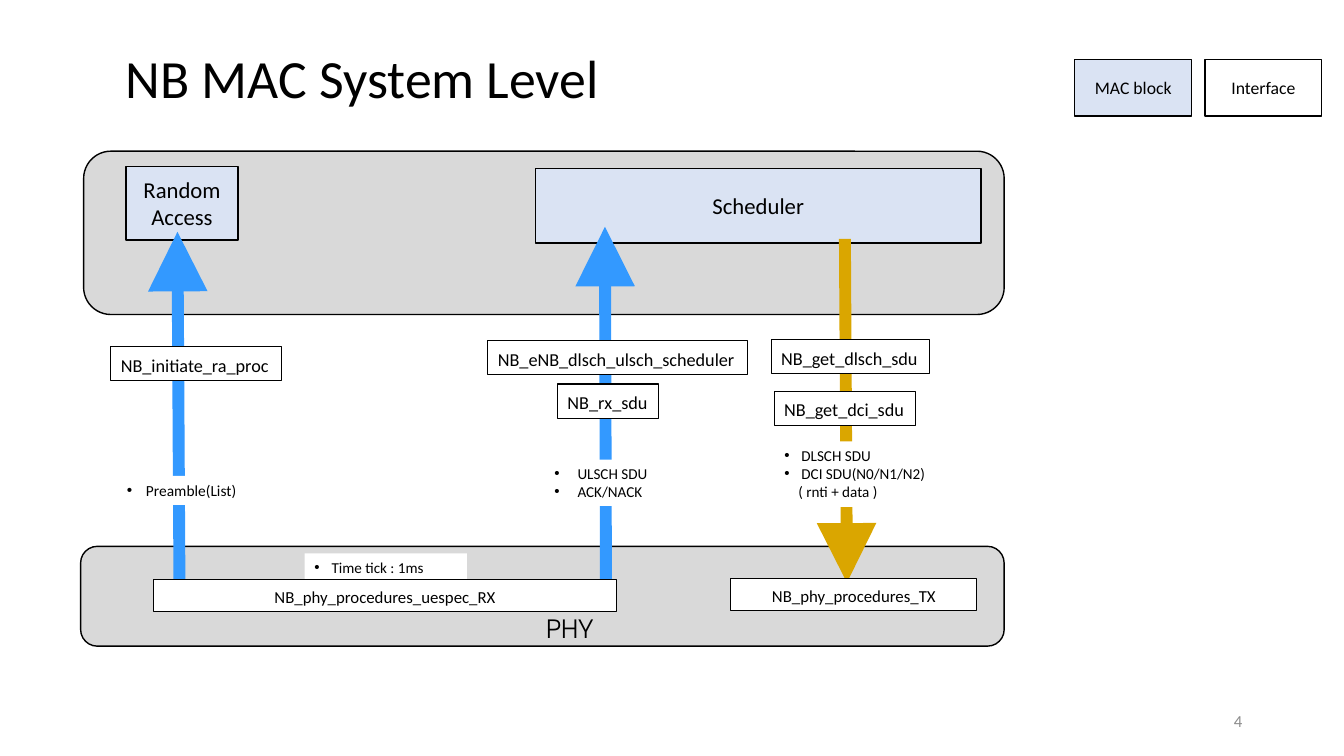
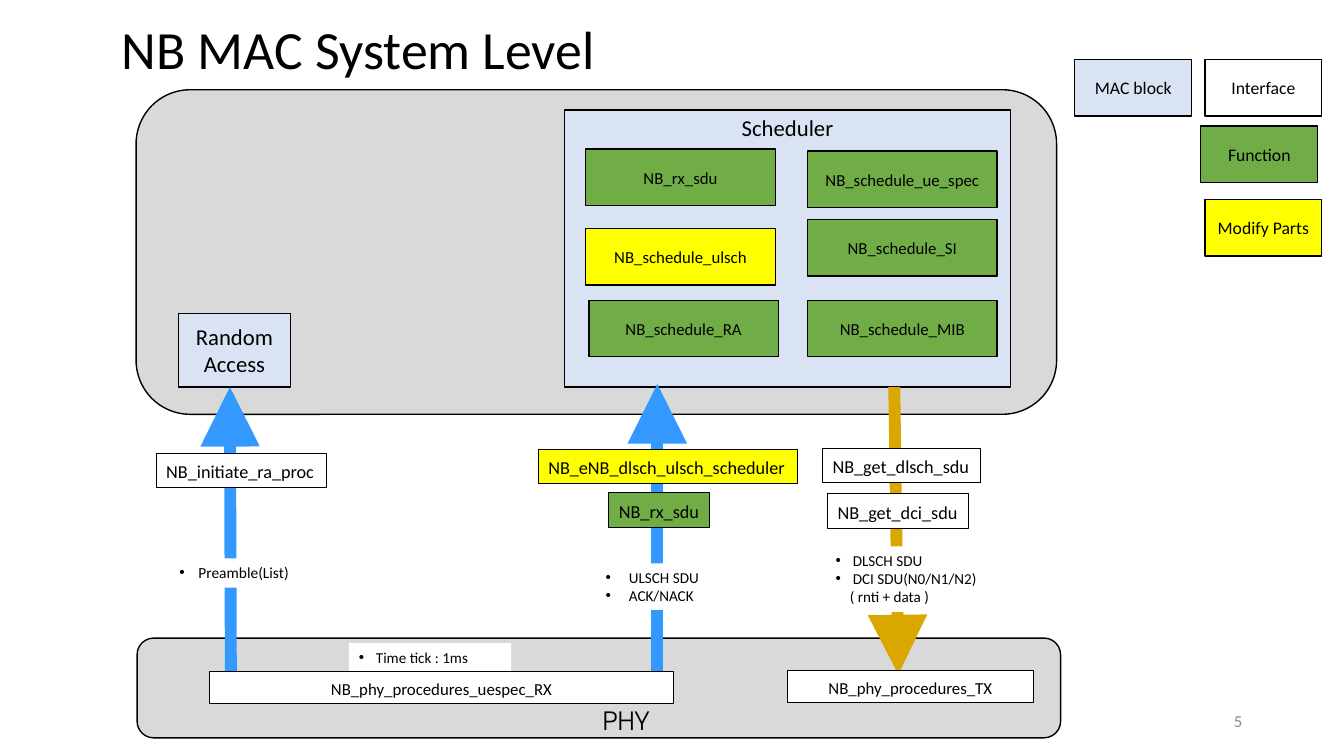
from lxml import etree
from pptx import Presentation
from pptx.dml.color import RGBColor
from pptx.enum import shapes, text as t
from pptx.oxml import ns
from pptx.util import Inches, Pt

BLACK = RGBColor(0x00, 0x00, 0x00)
WHITE = RGBColor(0xFF, 0xFF, 0xFF)
PANEL = RGBColor(0xD9, 0xD9, 0xD9)
BLOCK = RGBColor(0xDA, 0xE3, 0xF3)
GREEN = RGBColor(0x70, 0xAD, 0x47)
YELLOW = RGBColor(0xFF, 0xFF, 0x00)
UPLINK = RGBColor(0x33, 0x99, 0xFF)
DOWNLINK = RGBColor(0xDA, 0xA6, 0x00)
MUTED = RGBColor(0x8C, 0x8C, 0x8C)

CENTER, RIGHT = t.PP_ALIGN.CENTER, t.PP_ALIGN.RIGHT
TOP, MIDDLE = t.MSO_ANCHOR.TOP, t.MSO_ANCHOR.MIDDLE
RECT, ROUNDED = shapes.MSO_SHAPE.RECTANGLE, shapes.MSO_SHAPE.ROUNDED_RECTANGLE

LABEL_WIDTHS = {
    "NB_initiate_ra_proc": 1.69,
    "NB_eNB_dlsch_ulsch_scheduler": 2.57,
    "NB_rx_sdu": 1,
    "NB_get_dlsch_sdu": 1.57,
    "NB_get_dci_sdu": 1.4,
}
PREAMBLE = dict(text="Preamble(List)", size=(1.3, 0.29), font_size=11, indent=0.19)
ULSCH = dict(text="ULSCH SDU\nACK/NACK", size=(1.13, 0.46), indent=0.23)
DLSCH = dict(text="DLSCH SDU\nDCI SDU(N0/N1/N2)\n( rnti + data )",
             size=(1.68, 0.65), bullets=2, wrap=True)


def write(sp, text, size=12, font="Calibri", color=BLACK, align=t.PP_ALIGN.LEFT,
          anchor=TOP, wrap=True, grow=False, inset=(0.1, 0.05), spacing=None,
          indent=0, bullets=0):
    """Fill a shape with one formatted paragraph per line of text."""
    tf = sp.text_frame
    tf.word_wrap = wrap
    tf.auto_size = t.MSO_AUTO_SIZE.SHAPE_TO_FIT_TEXT if grow else t.MSO_AUTO_SIZE.NONE
    tf.vertical_anchor = anchor
    tf.margin_left = tf.margin_right = Inches(inset[0])
    tf.margin_top = tf.margin_bottom = Inches(inset[1])
    for i, line in enumerate(text.split("\n")):
        p = tf.paragraphs[0] if i == 0 else tf.add_paragraph()
        p.alignment = align
        if spacing:
            p.line_spacing = spacing
        r = p.add_run()
        r.text = line
        r.font.size, r.font.name = Pt(size), font
        r.font.color.rgb = color
        if indent:
            pPr = p._p.get_or_add_pPr()
            if i < bullets:
                pPr.set("marL", str(Inches(indent)))
                pPr.set("indent", str(-Inches(indent)))
                etree.SubElement(pPr, ns.qn("a:buFont")).set("typeface", "Arial")
                etree.SubElement(pPr, ns.qn("a:buChar")).set("char", "•")
            else:
                pPr.set("marL", str(Inches(0.14)))


def add_box(slide, box, fill, line=1, kind=RECT):
    """Add a filled shape, outlined in black when line is not zero."""
    sp = slide.shapes.add_shape(kind, *map(Inches, box))
    sp.shadow.inherit = False
    sp.fill.solid()
    sp.fill.fore_color.rgb = fill
    if line:
        sp.line.color.rgb = BLACK
        sp.line.width = Pt(line)
    else:
        sp.line.fill.background()
    return sp


def add_text(slide, box, text, **fmt):
    """Add a text box."""
    write(slide.shapes.add_textbox(*map(Inches, box)), text, **fmt)


def add_block(slide, box, text, fill=BLOCK, size=16.2, anchor=MIDDLE):
    """Add an outlined block with centred text."""
    write(add_box(slide, box, fill), text, size=size, align=CENTER,
          anchor=anchor, inset=(0.09, 0.04))


def add_label(slide, box, text, fill=WHITE, **fmt):
    """Add a thinly outlined interface name."""
    write(add_box(slide, box, fill, line=0.75), text, grow=True, spacing=1.1, **fmt)


def add_note(slide, left, top, text, size, font_size=10.8, indent=0.17,
             bullets=9, wrap=False):
    """Add a white bulleted note."""
    write(add_box(slide, (left, top, *size), WHITE, line=0), text, size=font_size,
          grow=True, wrap=wrap, indent=indent, bullets=bullets)


def add_arrow(slide, start, end, color):
    """Add a thick arrow with a large head."""
    ln = slide.shapes.add_connector(shapes.MSO_CONNECTOR.STRAIGHT,
                                    *map(Inches, (*start, *end)))
    ln.line.color.rgb = color
    ln.line.width = Pt(8.5)
    head = etree.SubElement(ln.line._get_or_add_ln(), ns.qn("a:tailEnd"))
    for key, value in (("type", "triangle"), ("w", "lg"), ("len", "lg")):
        head.set(key, value)
    etree.SubElement(ln._element.spPr, ns.qn("a:effectLst"))


def add_frame(slide, left, top, number):
    """Add the title and the slide number."""
    add_text(slide, (left, top, 10.8, 1.12), "NB MAC System Level", size=38.4,
             anchor=MIDDLE, spacing=0.9)
    add_text(slide, (9.42, 6.95, 3, 0.4), number, color=MUTED, align=RIGHT, anchor=MIDDLE)


def add_legend(slide, left, top, extra=()):
    """Add the colour key."""
    entries = (("MAC block", BLOCK, 0, 0), ("Interface", WHITE, 1.29, 0), *extra)
    for name, fill, dx, dy in entries:
        add_block(slide, (left + dx, top + dy, 1.16, 0.56), name, fill, size=12.6)


def add_mac(slide, box, access, scheduler, height, functions=()):
    """Add the MAC panel with its two blocks and the scheduler functions."""
    left, top = box[:2]
    add_box(slide, box, PANEL, kind=ROUNDED)
    add_block(slide, (left + access[0], top + access[1], 1.11, 0.73), "Random Access")
    x, y = left + scheduler[0], top + scheduler[1]
    add_block(slide, (x, y, 4.42, height), "Scheduler", anchor=TOP if functions else MIDDLE)
    for name, fill, dx, dy in functions:
        add_block(slide, (x + dx, y + dy, 1.88, 0.56), name, fill, size=12)


def add_phy_panel(slide, left, top):
    """Add the PHY panel and its name."""
    add_box(slide, (left, top, 9.16, 0.99), PANEL, kind=ROUNDED)
    add_text(slide, (left + 4.49, top + 0.62, 0.72, 0.4), "PHY", size=18,
             font="TeX Gyre Adventor", align=CENTER, wrap=False, grow=True)


def add_phy_procedures(slide, left, top, tick):
    """Add the PHY procedures and the time tick over the PHY panel."""
    add_note(slide, left + tick[0], top + tick[1], "Time tick : 1ms", (1.61, 0.28), wrap=True)
    for name, dx, dy, width in (("NB_phy_procedures_uespec_RX", 0.72, 0.33, 4.6),
                                ("NB_phy_procedures_TX", 6.45, 0.32, 2.44)):
        add_label(slide, (left + dx, top + dy, width, 0.32), name, align=CENTER)


def add_link(slide, start, end, color, note, note_at, labels):
    """Add one MAC to PHY arrow with a note and labels placed from its upper end."""
    x, y = min(start, end, key=lambda point: point[1])
    add_arrow(slide, start, end, color)
    add_note(slide, x + note_at[0], y + note_at[1], **note)
    for name, dx, dy, fill in labels:
        add_label(slide, (x + dx, y + dy, LABEL_WIDTHS[name], 0.34), name, fill,
                  size=13, wrap=False)


def add_diagram(slide, mac, phy, tick, links):
    """Add the panels, the links between them and the PHY procedures."""
    add_phy_panel(slide, *phy)
    add_mac(slide, **mac)
    for link in links:
        add_link(slide, *link)
    add_phy_procedures(slide, *phy, tick)


def build_overview(slide):
    """Build the overview of the MAC and PHY levels."""
    add_frame(slide, 1.15, 0.24, "4")
    add_legend(slide, 10.66, 0.59)
    mac = dict(box=(0.83, 1.5, 9.13, 1.62), access=(0.42, 0.15),
               scheduler=(4.48, 0.17), height=0.74)
    links = (
        ((1.78, 5.79), (1.76, 2.3), UPLINK, PREAMBLE, (-0.6, 2.42),
         [("NB_initiate_ra_proc", -0.66, 1.14, WHITE)]),
        ((6.01, 5.75), (6, 2.25), UPLINK, ULSCH, (-0.6, 2.31),
         [("NB_eNB_dlsch_ulsch_scheduler", -1.16, 1.13, WHITE),
          ("NB_rx_sdu", -0.47, 1.56, WHITE)]),
        ((8.38, 2.37), (8.4, 5.78), DOWNLINK, DLSCH, (-0.7, 2.01),
         [("NB_get_dlsch_sdu", -0.73, 1, WHITE), ("NB_get_dci_sdu", -0.7, 1.51, WHITE)]),
    )
    add_diagram(slide, mac, (0.8, 5.42), (2.22, 0.07), links)


def build_functions(slide):
    """Build the detailed view with the scheduler functions."""
    add_frame(slide, 1.11, -0.04, "5")
    add_legend(slide, 10.66, 0.59, [("Function", GREEN, 1.25, 0.66),
                                    ("Modify Parts", YELLOW, 1.29, 1.39)])
    functions = (
        ("NB_rx_sdu", GREEN, 0.21, 0.39),
        ("NB_schedule_ulsch", YELLOW, 0.21, 1.18),
        ("NB_schedule_RA", GREEN, 0.24, 1.89),
        ("NB_schedule_ue_spec", GREEN, 2.41, 0.41),
        ("NB_schedule_SI", GREEN, 2.41, 1.09),
        ("NB_schedule_MIB", GREEN, 2.41, 1.89),
    )
    mac = dict(box=(1.35, 0.89, 9.13, 3.22), access=(0.42, 2.22),
               scheduler=(4.25, 0.2), height=2.75, functions=functions)
    links = (
        ((2.29, 6.7), (2.28, 3.84), UPLINK, PREAMBLE, (-0.6, 1.7),
         [("NB_initiate_ra_proc", -0.73, 0.66, WHITE)]),
        ((6.52, 6.66), (6.52, 3.81), UPLINK, ULSCH, (-0.61, 1.78),
         [("NB_eNB_dlsch_ulsch_scheduler", -1.18, 0.65, YELLOW),
          ("NB_rx_sdu", -0.48, 1.08, GREEN)]),
        ((8.87, 3.84), (8.91, 6.69), DOWNLINK, DLSCH, (-0.68, 1.58),
         [("NB_get_dlsch_sdu", -0.71, 0.61, WHITE), ("NB_get_dci_sdu", -0.66, 1.06, WHITE)]),
    )
    add_diagram(slide, mac, (1.36, 6.33), (2.1, 0.05), links)


def main():
    """Build and save the presentation."""
    prs = Presentation()
    prs.slide_width, prs.slide_height = Inches(13.33), Inches(7.5)
    for build in (build_overview, build_functions):
        build(prs.slides.add_slide(prs.slide_layouts[6]))
    prs.save("out.pptx")


if __name__ == "__main__":
    main()
